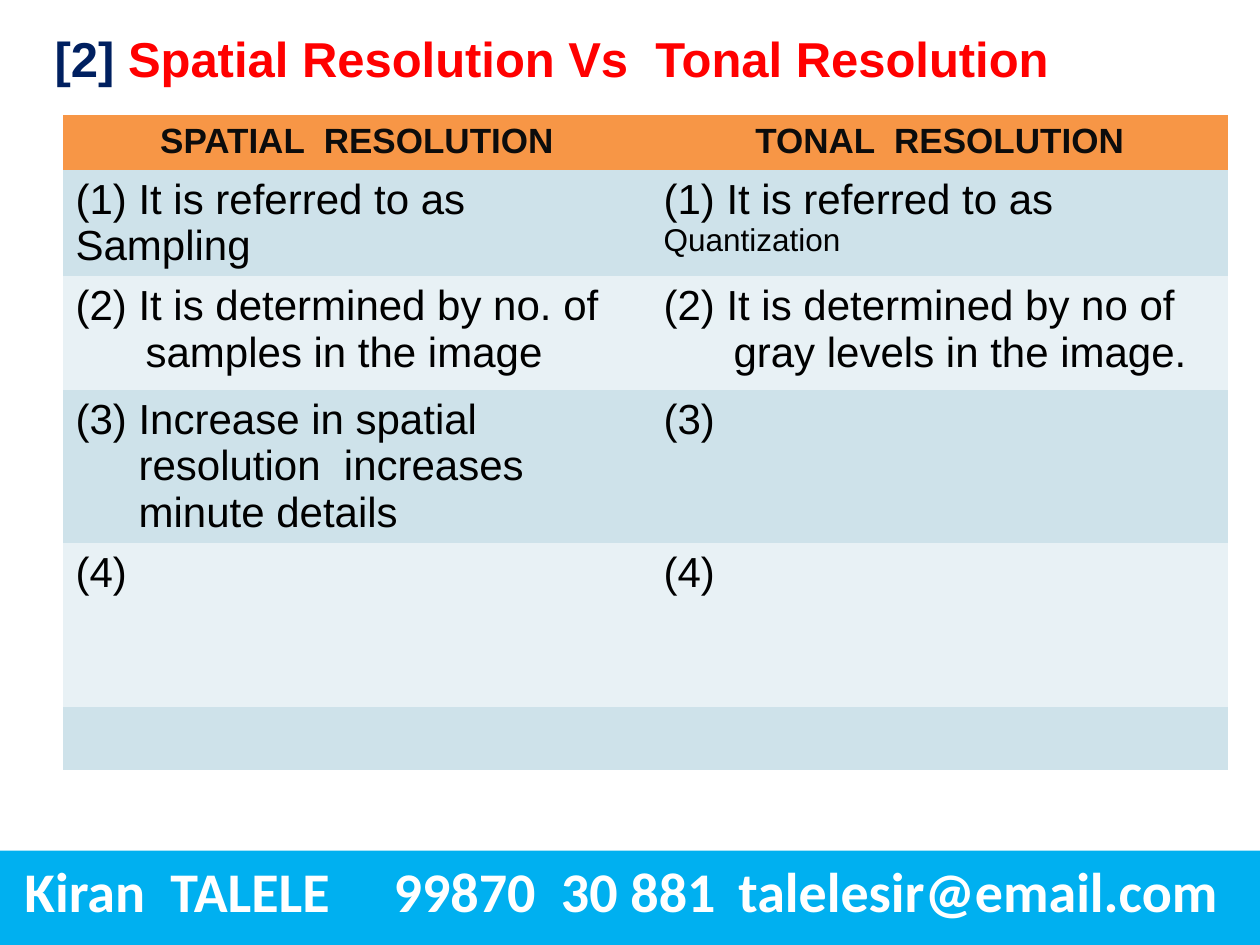
from dataclasses import dataclass

from lxml.etree import SubElement
from pptx import Presentation
from pptx.dml.color import RGBColor
from pptx.enum.shapes import MSO_SHAPE as Shape
from pptx.enum.text import MSO_ANCHOR as Anchor, PP_ALIGN as Align
from pptx.oxml.ns import qn
from pptx.util import Pt


@dataclass(frozen=True)
class Theme:
    body_font: str = "Arial"
    footer_font: str = "Calibri"
    title_size: int = 28
    header_size: int = 20
    body_size: int = 24
    small_size: int = 18
    footer_size: int = 32
    navy: str = "002060"
    red: str = "FF0000"
    orange: str = "F79646"
    header_ink: str = "0C0C0C"
    ink: str = "000000"
    bands: tuple = ("CEE2EA", "E8F1F5")
    sky: str = "00B0F0"
    white: str = "FFFFFF"


@dataclass(frozen=True)
class Box:
    left: float
    top: float
    width: float
    height: float

    def points(self):
        return Pt(self.left), Pt(self.top), Pt(self.width), Pt(self.height)


@dataclass(frozen=True)
class Line:
    spans: tuple
    indent: float = 0
    number: int = 0


THEME = Theme()
NO_STYLE = "{2D5ABB26-0587-4C30-8999-92F81FD0307C}"
COLUMNS = (336, 330)
HEIGHTS = (31, 36, 65, 65, 94, 36)
HEADINGS = ("SPATIAL  RESOLUTION", "TONAL  RESOLUTION")
BODY = THEME.body_size
ROWS = (
    (
        (Line((("(1) It is referred to as Sampling", BODY),)),),
        (Line((("(1) It is referred to as ", BODY), ("Quantization", THEME.small_size))),),
    ),
    (
        (
            Line((("(2) It is determined by no. of", BODY),)),
            Line((("samples in the image", BODY),), indent=40),
        ),
        (
            Line((("(2) It is determined by no of", BODY),)),
            Line((("gray levels in the image.", BODY),), indent=40),
        ),
    ),
    (
        (Line((("Increase in spatial resolution  increases  minute details", BODY),), 36, 3),),
        (Line((("(3)", BODY),)),),
    ),
    ((Line((("(4)", BODY),)),), (Line((("(4)", BODY),)),)),
    ((), ()),
)


def color(value):
    return RGBColor.from_string(value)


def add_span(para, text, size, ink, font=THEME.body_font, bold=False):
    span = para.add_run()
    span.text = text
    span.font.name = font
    span.font.size = Pt(size)
    span.font.bold = bold
    span.font.color.rgb = color(ink)


def paint(target, value):
    target.fill.solid()
    target.fill.fore_color.rgb = color(value)


def number_paragraph(para, start, indent):
    props = para._p.get_or_add_pPr()
    props.set("marL", str(Pt(indent)))
    props.set("indent", str(-Pt(indent)))
    SubElement(SubElement(props, qn("a:buClr")), qn("a:srgbClr"), val=THEME.ink)
    SubElement(props, qn("a:buFont"), typeface=THEME.body_font)
    SubElement(props, qn("a:buAutoNum"), type="arabicParenBoth", startAt=str(start))


def add_tabs(para, stops):
    tabs = SubElement(para._p.get_or_add_pPr(), qn("a:tabLst"))
    for stop in stops:
        SubElement(tabs, qn("a:tab"), pos=str(Pt(stop)), algn="l")


def place_title(page, box):
    title = page.shapes.title
    title.left, title.top, title.width, title.height = box.points()
    title.text_frame.vertical_anchor = Anchor.MIDDLE
    title.text_frame.word_wrap = True
    para = title.text_frame.paragraphs[0]
    para.alignment = Align.LEFT
    add_span(para, "[2] ", THEME.title_size, THEME.navy, bold=True)
    add_span(para, "Spatial Resolution Vs  Tonal Resolution", THEME.title_size, THEME.red, bold=True)


def fill_body_cell(cell, lines):
    frame = cell.text_frame
    for index, line in enumerate(lines):
        para = frame.add_paragraph() if index else frame.paragraphs[0]
        if line.number:
            number_paragraph(para, line.number, line.indent)
        elif line.indent:
            para._p.get_or_add_pPr().set("marL", str(Pt(line.indent)))
        for text, size in line.spans:
            add_span(para, text, size, THEME.ink)


def place_table(page, box):
    table = page.shapes.add_table(len(HEIGHTS), len(COLUMNS), *box.points()).table
    table._tbl.tblPr.find(qn("a:tableStyleId")).text = NO_STYLE
    for column, width in zip(table.columns, COLUMNS):
        column.width = Pt(width)
    for row, height in zip(table.rows, HEIGHTS):
        row.height = Pt(height)
    for cell, heading in zip(table.rows[0].cells, HEADINGS):
        paint(cell, THEME.orange)
        para = cell.text_frame.paragraphs[0]
        para.alignment = Align.CENTER
        add_span(para, heading, THEME.header_size, THEME.header_ink, bold=True)
    for index, contents in enumerate(ROWS):
        for cell, lines in zip(table.rows[index + 1].cells, contents):
            paint(cell, THEME.bands[index % 2])
            fill_body_cell(cell, lines)


def place_footer(page, box):
    bar = page.shapes.add_shape(Shape.RECTANGLE, *box.points())
    bar.shadow.inherit = False
    paint(bar, THEME.sky)
    bar.line.fill.background()
    frame = bar.text_frame
    frame.word_wrap = True
    frame.vertical_anchor = Anchor.TOP
    frame.margin_left = Pt(14)
    para = frame.paragraphs[0]
    para.alignment = Align.LEFT
    add_tabs(para, (211, 408))
    contact = "Kiran  TALELE\t99870  30 881\ttalelesir@email.com"
    add_span(para, contact, THEME.footer_size, THEME.white, THEME.footer_font, True)


def main():
    deck = Presentation()
    deck.slide_width, deck.slide_height = Pt(720), Pt(540)
    page = deck.slides.add_slide(deck.slide_layouts[5])
    place_table(page, Box(36, 66, sum(COLUMNS), sum(HEIGHTS)))
    place_footer(page, Box(0, 486, 720, 54))
    place_title(page, Box(24, 18, 648, 30))
    deck.save("out.pptx")


if __name__ == "__main__":
    main()
